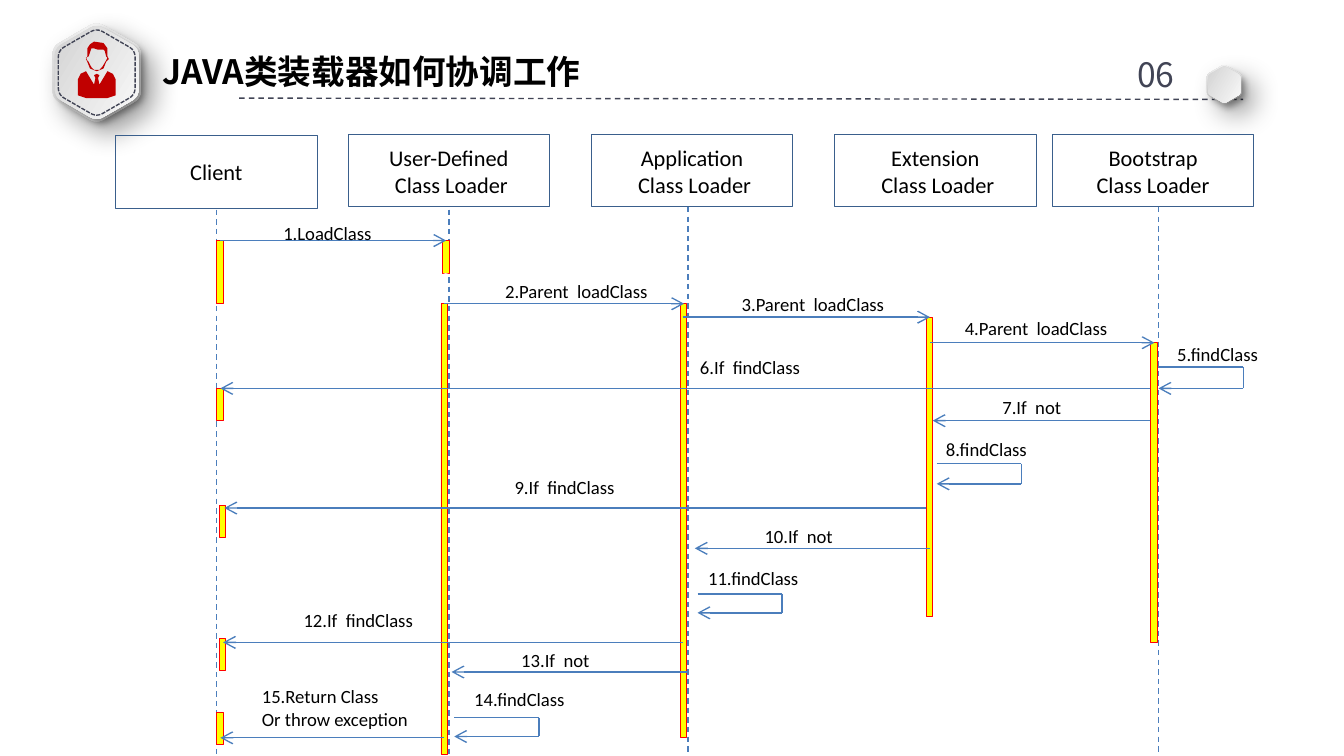
import math
import lxml.etree
import pptx
import pptx.dml.color
import pptx.enum.dml
import pptx.enum.shapes
import pptx.enum.text
import pptx.oxml.ns
import pptx.util

Inches = pptx.util.Inches
Pt = pptx.util.Pt
qn = pptx.oxml.ns.qn
DASH = pptx.enum.dml.MSO_LINE
ANCHOR = pptx.enum.text.MSO_ANCHOR
ALIGN = pptx.enum.text.PP_ALIGN
FIT = pptx.enum.text.MSO_AUTO_SIZE

BLUE, SLATE, BLACK = "4B7EBC", "414455", "000000"
LATIN, CHINESE = "Calibri", "Noto Sans CJK SC"

HEADERS = [
    (6.21, 1, "Extension\n Class Loader"),
    (7.83, 1, "Bootstrap\nClass Loader"),
    (4.4, 1, "Application\n Class Loader"),
    (2.59, 1, "User-Defined\n Class Loader"),
    (0.86, 1.01, "Client"),
]
LIFELINES = [(1.61, 1.56, 5.62), (3.34, 1.56, 5.62),
             (5.12, 1.54, 5.61), (8.62, 1.54, 5.61)]
ACTIVATIONS = [
    (1.61, 1.79, 0.47), (3.29, 1.79, 0.24), (3.28, 2.26, 3.35),
    (5.06, 2.26, 3.23), (6.89, 2.36, 2.23), (8.56, 2.55, 2.23),
    (1.61, 2.89, 0.24), (1.63, 3.76, 0.24), (1.63, 4.75, 0.24),
    (1.61, 5.3, 0.24),
]
MESSAGES = [
    (1.64, 3.32, 1.79), (3.3, 5.09, 2.26), (5.08, 6.92, 2.36),
    (6.92, 8.59, 2.55), (8.56, 1.64, 2.89), (8.56, 6.94, 3.13),
    (6.89, 1.67, 3.78), (6.92, 5.17, 4.08), (5.08, 1.66, 4.78),
    (5.11, 3.36, 5), (3.3, 1.64, 5.49),
]
SELF_CALLS = [(8.62, 2.73, 0.16), (6.97, 3.45, 0.15),
              (5.19, 4.42, 0.14), (3.38, 5.34, 0.14)]
LABELS = [
    (2.01, 1.6, 0.86, "1.LoadClass"),
    (3.66, 2.03, 1.31, "2.Parent  loadClass"),
    (5.42, 2.13, 1.28, "3.Parent  loadClass"),
    (7.08, 2.31, 1.28, "4.Parent  loadClass"),
    (8.66, 2.5, 0.81, "5.findClass"),
    (5.11, 2.6, 0.95, "6.If  findClass"),
    (7.36, 2.9, 0.68, "7.If  not "),
    (6.94, 3.21, 0.81, "8.findClass"),
    (3.73, 3.49, 0.95, "9.If  findClass"),
    (5.59, 3.86, 0.75, "10.If  not "),
    (5.17, 4.17, 0.88, "11.findClass"),
    (2.16, 4.48, 1.02, "12.If  findClass"),
    (3.78, 4.78, 0.75, "13.If  not "),
    (3.43, 5.07, 0.88, "14.findClass"),
    (1.85, 5.05, 1.31, "15.Return Class\nOr throw exception"),
]
TORSO = [(0.58, 0.59), (0.6, 0.55), (0.64, 0.53), (0.7, 0.63), (0.71, 0.58),
         (0.7, 0.56), (0.72, 0.55), (0.74, 0.56), (0.73, 0.58), (0.74, 0.63),
         (0.8, 0.53), (0.84, 0.55), (0.86, 0.59), (0.86, 0.71), (0.8, 0.73),
         (0.72, 0.73), (0.64, 0.73), (0.58, 0.71)]
HEAD = [(0.81, 0.44), (0.79, 0.46), (0.77, 0.51), (0.72, 0.53), (0.67, 0.51),
        (0.65, 0.46), (0.64, 0.44), (0.65, 0.42), (0.65, 0.36), (0.67, 0.33),
        (0.7, 0.31), (0.77, 0.32), (0.8, 0.36), (0.8, 0.42)]
FACE = [(0.79, 0.42), (0.78, 0.38), (0.77, 0.37), (0.73, 0.37), (0.7, 0.36),
        (0.68, 0.36), (0.66, 0.42), (0.64, 0.43), (0.65, 0.45), (0.66, 0.46),
        (0.68, 0.5), (0.7, 0.52), (0.74, 0.52), (0.76, 0.5), (0.79, 0.45),
        (0.8, 0.43)]


def color(value):
    return pptx.dml.color.RGBColor.from_string(value)


def apply(target, values):
    for name, value in values.items():
        setattr(target, name, value)


def set_line(shape, value, width, dash=None):
    shape.line.color.rgb = color(value)
    apply(shape.line, {"width": Pt(width), "dash_style": dash})


def set_fill(shape, value):
    if value is None:
        shape.fill.background()
    else:
        shape.fill.solid()
        shape.fill.fore_color.rgb = color(value)


def write(shape, text, size, font, value=BLACK, bold=False,
          align=ALIGN.LEFT, frame_values=None):
    frame = shape.text_frame
    apply(frame, frame_values or {})
    frame.text = text
    for paragraph in frame.paragraphs:
        paragraph.alignment = align
        for run in paragraph.runs:
            apply(run.font, {"size": Pt(size), "name": font, "bold": bold})
            run.font.color.rgb = color(value)
            if font == CHINESE:
                east_asian = lxml.etree.SubElement(run.font._element, qn("a:ea"))
                east_asian.set("typeface", font)


def add_line(slide, start, end, value=BLUE, dash=None, arrow=False):
    connector = slide.shapes.add_connector(
        pptx.enum.shapes.MSO_CONNECTOR.STRAIGHT,
        *(Inches(number) for number in (*start, *end)))
    set_line(connector, value, 0.75, dash)
    properties = connector._element.spPr
    if arrow:
        tail = lxml.etree.SubElement(properties.find(qn("a:ln")), qn("a:tailEnd"))
        tail.set("type", "arrow")
    lxml.etree.SubElement(properties, qn("a:effectLst"))


def add_box(slide, left, top, width, height, fill, line, line_width):
    box = slide.shapes.add_shape(
        pptx.enum.shapes.MSO_SHAPE.RECTANGLE,
        *(Inches(number) for number in (left, top, width, height)))
    box.shadow.inherit = False
    set_fill(box, fill)
    set_line(box, line, line_width)
    return box


def add_outline(slide, *contours):
    scaled = [[(Inches(x), Inches(y)) for x, y in points] for points in contours]
    builder = slide.shapes.build_freeform(*scaled[0][0], scale=1.0)
    builder.add_line_segments(scaled[0][1:])
    for points in scaled[1:]:
        builder.move_to(*points[0])
        builder.add_line_segments(points[1:])
    shape = builder.convert_to_shape()
    shape.shadow.inherit = False
    shape.line.fill.background()
    return shape


def rounded_hexagon(center_x, center_y, radius, cut=0.16):
    corners = [(center_x + radius * math.sin(math.radians(angle)),
                center_y - radius * math.cos(math.radians(angle)))
               for angle in range(0, 360, 60)]
    points = []
    for index, corner in enumerate(corners):
        before, after = corners[index - 1], corners[(index + 1) % 6]
        for step in range(7):
            t = step / 6
            first, last = cut * (1 - t) ** 2, cut * t ** 2
            points.append(tuple(
                c + first * (b - c) + last * (a - c)
                for b, c, a in zip(before, corner, after)))
    return points


def add_badge(slide, center_x, center_y, radius, angle, blur, distance):
    badge = add_outline(slide, rounded_hexagon(center_x, center_y, radius))
    badge.fill.gradient()
    badge.fill.gradient_angle = angle
    for stop, value in zip(badge.fill.gradient_stops, ("D3D3D3", "F9F9F9")):
        stop.color.rgb = color(value)
    effects = badge._element.spPr.find(qn("a:effectLst"))
    shadow = lxml.etree.SubElement(
        effects, qn("a:outerShdw"), blurRad=str(Pt(blur)), dist=str(Pt(distance)),
        dir="2700000", algn="tl", rotWithShape="0")
    shade = lxml.etree.SubElement(shadow, qn("a:srgbClr"), val=BLACK)
    lxml.etree.SubElement(shade, qn("a:alpha"), val="40000")


def add_label(slide, left, top, width, height, text, **style):
    label = slide.shapes.add_textbox(
        *(Inches(number) for number in (left, top, width, height)))
    write(label, text, **style)


def add_heading(slide):
    insets = {"margin_left": Inches(0.07), "margin_right": Inches(0.07),
              "margin_top": Inches(0.04), "margin_bottom": Inches(0.04),
              "vertical_anchor": ANCHOR.MIDDLE, "auto_size": FIT.NONE,
              "word_wrap": True}
    title = slide.shapes.title
    apply(title, {"left": Inches(1.14), "top": Inches(0.34),
                  "width": Inches(3.39), "height": Inches(0.38)})
    write(title, "JAVA类装载器如何协调工作", 18, CHINESE, bold=True, frame_values=insets)
    add_line(slide, (1.78, 0.73), (9.25, 0.74), SLATE, DASH.DASH)
    add_label(slide, 8.39, 0.36, 0.47, 0.38, "06", size=18, font=CHINESE,
              value=SLATE, frame_values=insets)
    for center_x, center_y, outer, inner in ((0.72, 0.54, 0.38, 0.36),
                                             (9.11, 0.63, 0.15, 0.14)):
        add_badge(slide, center_x, center_y, outer, 59, 15, 9)
        add_badge(slide, center_x, center_y, inner, 329, 4, 3)
    stitching = add_outline(slide, rounded_hexagon(0.72, 0.54, 0.33))
    set_fill(stitching, None)
    set_line(stitching, SLATE, 0.75, DASH.SQUARE_DOT)
    for contours in ((TORSO,), (HEAD, FACE)):
        set_fill(add_outline(slide, *contours), "C00000")


def add_self_call(slide, left, top, height):
    right, bottom = left + 0.63, top + height
    add_line(slide, (left, top), (right, top))
    add_line(slide, (right, top), (right, bottom))
    add_line(slide, (right, bottom), (left, bottom), arrow=True)


def main():
    presentation = pptx.Presentation()
    width = Inches(10)
    apply(presentation, {"slide_width": width, "slide_height": width * 9 // 16})
    slide = presentation.slides.add_slide(presentation.slide_layouts[5])
    add_heading(slide)
    for left, top, text in HEADERS:
        header = add_box(slide, left, top, 1.5, 0.54, None, "3A5F8C", 0.5)
        write(header, text, 12, LATIN, align=ALIGN.CENTER,
              frame_values={"vertical_anchor": ANCHOR.MIDDLE})
    for x, top, bottom in LIFELINES:
        add_line(slide, (x, top), (x, bottom), dash=DASH.DASH)
    for left, top, height in ACTIVATIONS:
        add_box(slide, left, top, 0.05, height, "FFFF00", "FF0000", 0.25)
    for start, end, y in MESSAGES:
        add_line(slide, (start, y), (end, y), arrow=True)
    for call in SELF_CALLS:
        add_self_call(slide, *call)
    for left, top, width, text in LABELS:
        height = 0.44 if "\n" in text else 0.27
        add_label(slide, left, top, width, height, text, size=10, font=LATIN,
                  frame_values={"word_wrap": False, "auto_size": FIT.SHAPE_TO_FIT_TEXT})
    presentation.save("out.pptx")


main()
